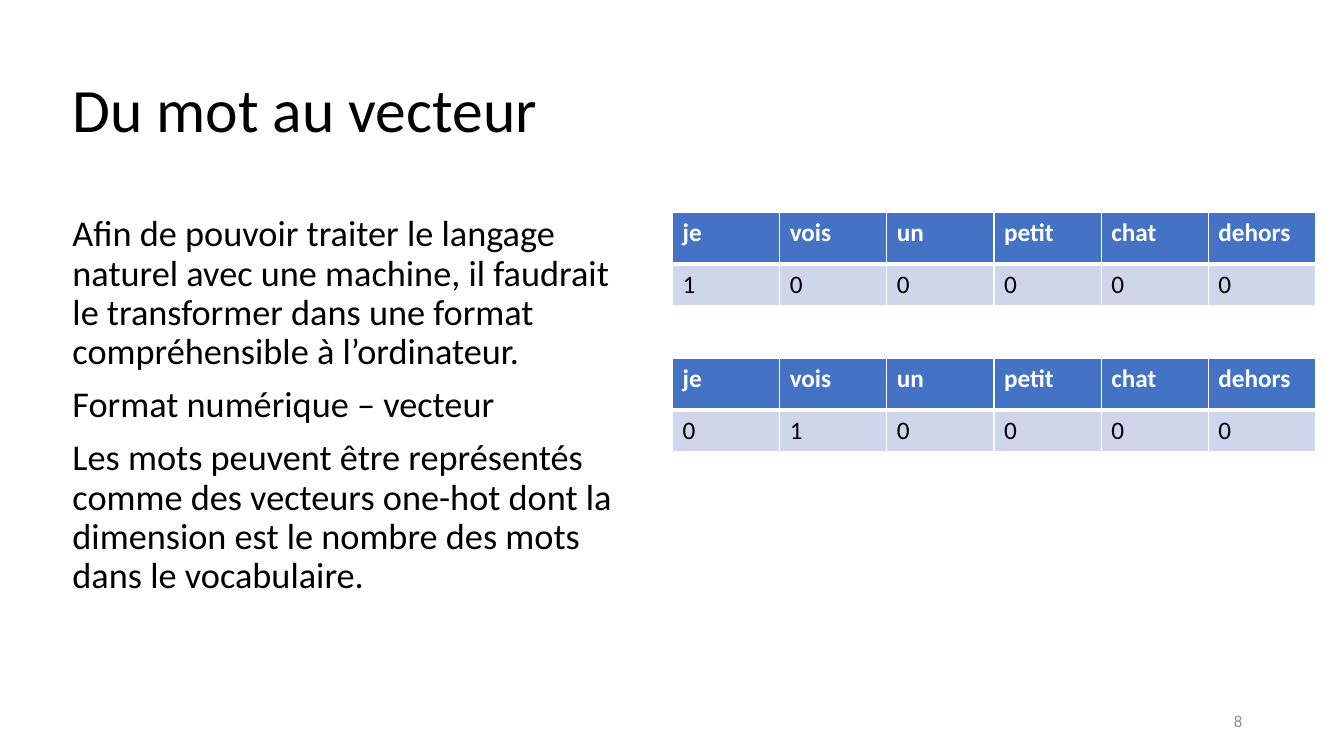
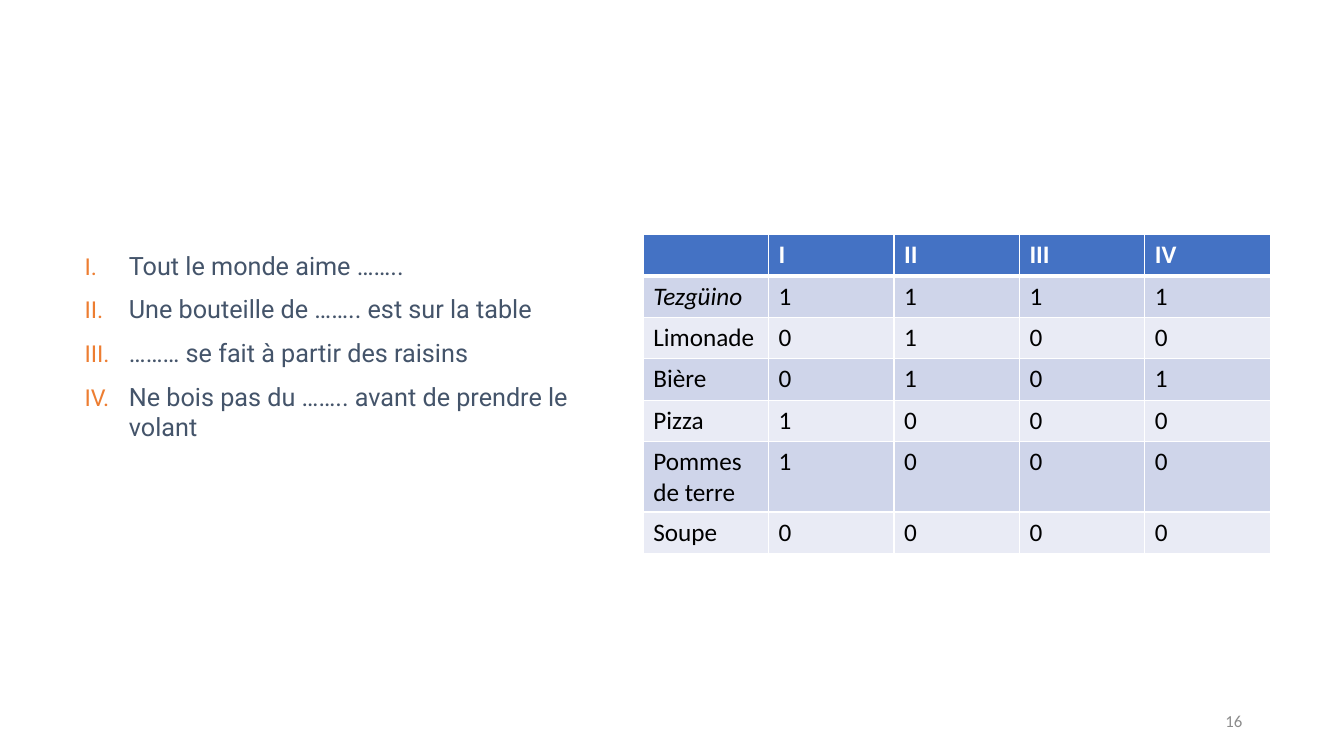
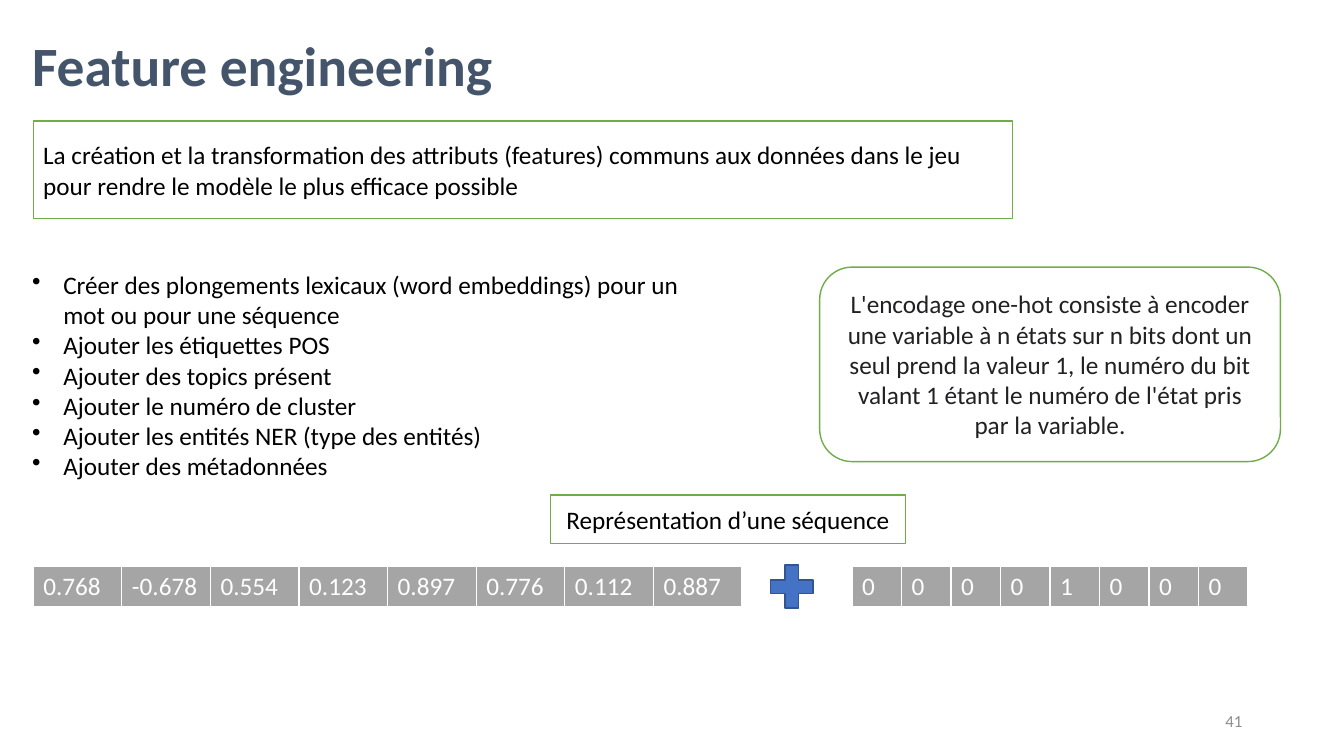
from lxml.etree import SubElement
from pptx import Presentation
from pptx.dml.color import RGBColor
from pptx.enum.shapes import MSO_SHAPE as Preset
from pptx.enum.text import MSO_ANCHOR as Anchor, PP_ALIGN as Align
from pptx.oxml.ns import qn
from pptx.util import Inches, Pt

BLACK = RGBColor(0x00, 0x00, 0x00)
WHITE = RGBColor(0xFF, 0xFF, 0xFF)
INK = RGBColor(0x20, 0x21, 0x22)
SLATE = RGBColor(0x44, 0x54, 0x6A)
ORANGE = RGBColor(0xED, 0x7D, 0x31)
BLUE = RGBColor(0x44, 0x72, 0xC4)
DARK_BLUE = RGBColor(0x32, 0x54, 0x91)
GREEN = RGBColor(0x70, 0xAD, 0x47)
GRAY = RGBColor(0xA5, 0xA5, 0xA5)
FOOTER_GRAY = RGBColor(0x8C, 0x8C, 0x8C)
BANDS = (RGBColor(0xCF, 0xD5, 0xEA), RGBColor(0xE9, 0xEB, 0xF5))

FONT = "Calibri"
BODY_SIZE = 18
ROW_HEIGHT = 0.41
THIN, THICK = 1, 3


def style_font(font, size, color, name=FONT, bold=False, italic=False):
    font.size = Pt(size)
    font.name = name
    font.bold = bold
    font.italic = italic
    font.color.rgb = color


def add_dot(paragraph):
    SubElement(paragraph._p.get_or_add_pPr(), qn("a:buChar"), char="•")


def add_roman_numeral(paragraph):
    props = paragraph._p.get_or_add_pPr()
    color = SubElement(props, qn("a:buClr"))
    SubElement(color, qn("a:srgbClr"), val=str(ORANGE))
    SubElement(props, qn("a:buSzPct"), val="92000")
    SubElement(props, qn("a:buAutoNum"), type="romanUcPeriod")


def write(shape, lines, size=BODY_SIZE, color=BLACK, name=FONT, bold=False,
          align=Align.LEFT, anchor=Anchor.MIDDLE, line_spacing=None,
          before=0, after=0, bullet=None, indent=0):
    frame = shape.text_frame
    frame.word_wrap = True
    frame.vertical_anchor = anchor
    for index, line in enumerate(lines):
        paragraph = frame.add_paragraph() if index else frame.paragraphs[0]
        paragraph.text = line
        paragraph.alignment = align
        if bullet:
            props = paragraph._p.get_or_add_pPr()
            props.set("marL", str(Inches(indent)))
            props.set("indent", str(-Inches(indent)))
            bullet(paragraph)
        if line_spacing:
            paragraph.line_spacing = line_spacing
        paragraph.space_before = Pt(before if index else 0)
        paragraph.space_after = Pt(after)
        style_font(paragraph.font, size, color, name, bold)


def add_text(slide, left, top, width, height, lines, **style):
    box = slide.shapes.add_textbox(
        Inches(left), Inches(top), Inches(width), Inches(height))
    write(box, lines, **style)
    return box


def add_title(slide, left, top, height, text, **style):
    add_text(slide, left, top, 11.5, height, [text], line_spacing=0.9, **style)


def add_page_number(slide, number):
    add_text(slide, 9.42, 6.95, 3, 0.4, [str(number)],
             size=12, color=FOOTER_GRAY, align=Align.RIGHT)


def add_box(slide, preset, left, top, width, height, fill=WHITE, line=None):
    box = slide.shapes.add_shape(
        preset, Inches(left), Inches(top), Inches(width), Inches(height))
    box.shadow.inherit = False
    box.fill.solid()
    box.fill.fore_color.rgb = fill
    if line is None:
        box.line.fill.background()
    else:
        box.line.color.rgb = line
        box.line.width = Pt(1)
    return box


def set_borders(cell, top, bottom):
    props = cell._tc.get_or_add_tcPr()
    for side, width in (("L", THIN), ("R", THIN), ("T", top), ("B", bottom)):
        border = SubElement(props, qn(f"a:ln{side}"), w=str(Pt(width)))
        fill = SubElement(border, qn("a:solidFill"))
        SubElement(fill, qn("a:srgbClr"), val=str(WHITE))


def add_grid(slide, left, top, width, rows, header_fill=BLUE,
             header_bold=True, header_height=ROW_HEIGHT, italics=()):
    heights = [header_height] + [ROW_HEIGHT] * (len(rows) - 1)
    table = slide.shapes.add_table(
        len(rows), len(rows[0]), Inches(left), Inches(top),
        Inches(width), Inches(sum(heights))).table
    table.first_row = False
    table.horz_banding = False
    for column in table.columns:
        column.width = Inches(width / len(rows[0]))
    for r, values in enumerate(rows):
        table.rows[r].height = Inches(heights[r])
        is_header = r == 0
        for c, value in enumerate(values):
            cell = table.cell(r, c)
            set_borders(cell, THICK if r == 1 else THIN,
                        THICK if is_header else THIN)
            cell.fill.solid()
            cell.fill.fore_color.rgb = (
                header_fill if is_header else BANDS[(r - 1) % 2])
            cell.text = value
            style_font(cell.text_frame.paragraphs[0].font, BODY_SIZE,
                       WHITE if is_header else BLACK,
                       bold=is_header and header_bold,
                       italic=value in italics)


def build_word_vectors(slide):
    add_title(slide, 0.62, 0.39, 1.45, "Du mot au vecteur", size=44)
    add_text(slide, 0.62, 2.09, 5.59, 4.02, [
        "Afin de pouvoir traiter le langage naturel avec une machine, il "
        "faudrait le transformer dans une format compréhensible à l’ordinateur.",
        "Format numérique – vecteur",
        "Les mots peuvent être représentés comme des vecteurs one-hot dont la "
        "dimension est le nombre des mots dans le vocabulaire.",
    ], size=25.9, anchor=Anchor.TOP, line_spacing=0.9, before=10)
    words = ["je", "vois", "un", "petit", "chat", "dehors"]
    for position, top in enumerate((2.11, 3.56)):
        one_hot = [str(int(i == position)) for i in range(len(words))]
        add_grid(slide, 6.67, top, 6.38, [words, one_hot], header_height=0.51)
    add_page_number(slide, 8)


def build_contexts(slide):
    contexts = {
        "Tezgüino": "1111",
        "Limonade": "0100",
        "Bière": "0101",
        "Pizza": "1000",
        "Pommes de terre": "1000",
        "Soupe": "0000",
    }
    rows = [["", "I", "II", "III", "IV"]]
    rows += [[word, *bits] for word, bits in contexts.items()]
    add_grid(slide, 6.38, 2.33, 6.22, rows, italics=("Tezgüino",))
    sentences = add_text(slide, 0.74, 1.59, 5.09, 4.02, [
        "Tout le monde aime ……..",
        "Une bouteille de …….. est sur la table",
        "……… se fait à partir des raisins",
        "Ne bois pas du …….. avant de prendre le volant",
    ], color=SLATE, name="Roboto", anchor=Anchor.TOP, before=3.6, after=6,
        bullet=add_roman_numeral, indent=0.44)
    sentences.text_frame.margin_top = Inches(0.89)
    add_page_number(slide, 16)


def build_feature_engineering(slide):
    add_title(slide, 0.22, 0.32, 0.72, "Feature engineering",
              size=39.6, color=SLATE, bold=True)
    definition = add_box(slide, Preset.RECTANGLE, 0.33, 1.2, 9.71, 0.97, line=GREEN)
    write(definition, [
        "La création et la transformation des attributs (features) communs aux "
        "données dans le jeu pour rendre le modèle le plus efficace possible"])
    features = add_box(slide, Preset.RECTANGLE, 0.22, 2.54, 6.93, 2.36)
    write(features, [
        "Créer des plongements lexicaux (word embeddings) pour un mot ou pour "
        "une séquence",
        "Ajouter les étiquettes POS",
        "Ajouter des topics présent",
        "Ajouter le numéro de cluster",
        "Ajouter les entités NER (type des entités)",
        "Ajouter des métadonnées",
    ], bullet=add_dot, indent=0.31)
    one_hot_note = add_box(slide, Preset.ROUNDED_RECTANGLE,
                           8.13, 2.65, 4.57, 1.93, line=GREEN)
    write(one_hot_note, [
        "L'encodage one-hot consiste à encoder une variable à n états sur "
        "n bits dont un seul prend la valeur 1, le numéro du bit valant 1 "
        "étant le numéro de l'état pris par la variable."],
        color=INK, align=Align.CENTER)
    embedding = ["0.768", "-0.678", "0.554", "0.123",
                 "0.897", "0.776", "0.112", "0.887"]
    for left, width, vector in ((0.33, 7.03, embedding),
                                (8.45, 3.93, list("00001000"))):
        add_grid(slide, left, 5.62, width, [vector],
                 header_fill=GRAY, header_bold=False)
    add_box(slide, Preset.MATH_PLUS, 7.57, 5.53, 0.57, 0.58,
            fill=BLUE, line=DARK_BLUE)
    caption = add_box(slide, Preset.RECTANGLE, 5.46, 4.91, 3.52, 0.48, line=GREEN)
    write(caption, ["Représentation d’une séquence"], align=Align.CENTER)
    add_page_number(slide, 41)


def main():
    deck = Presentation()
    deck.slide_width = Inches(13.33)
    deck.slide_height = Inches(7.5)
    blank = deck.slide_layouts[6]
    for build in (build_word_vectors, build_contexts, build_feature_engineering):
        build(deck.slides.add_slide(blank))
    deck.save("out.pptx")


if __name__ == "__main__":
    main()
